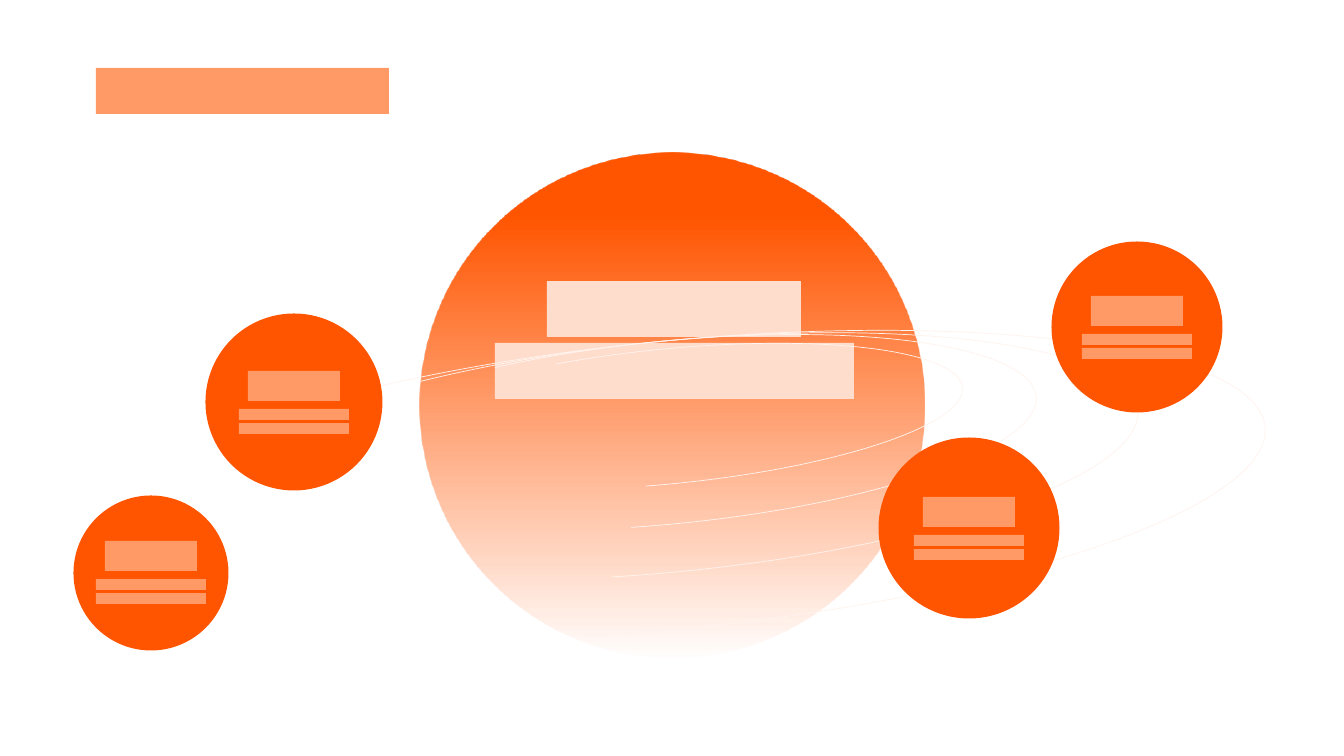
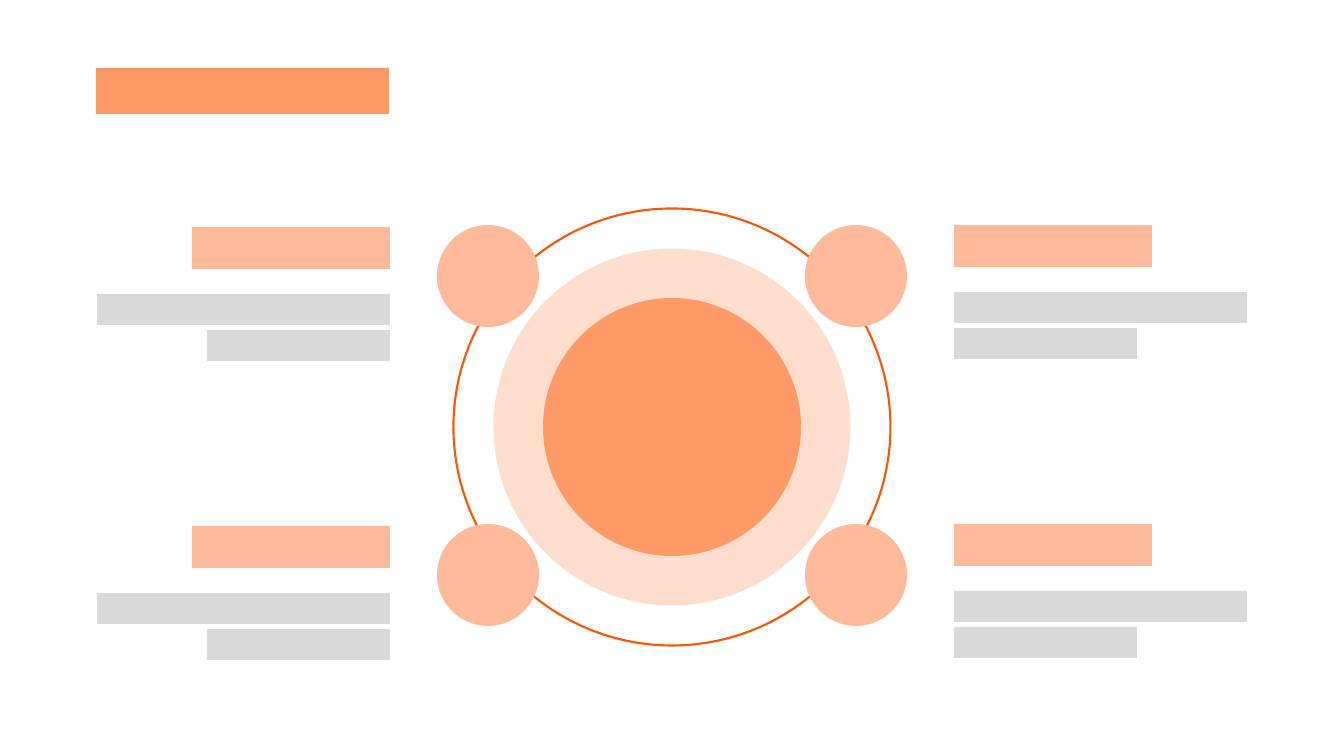
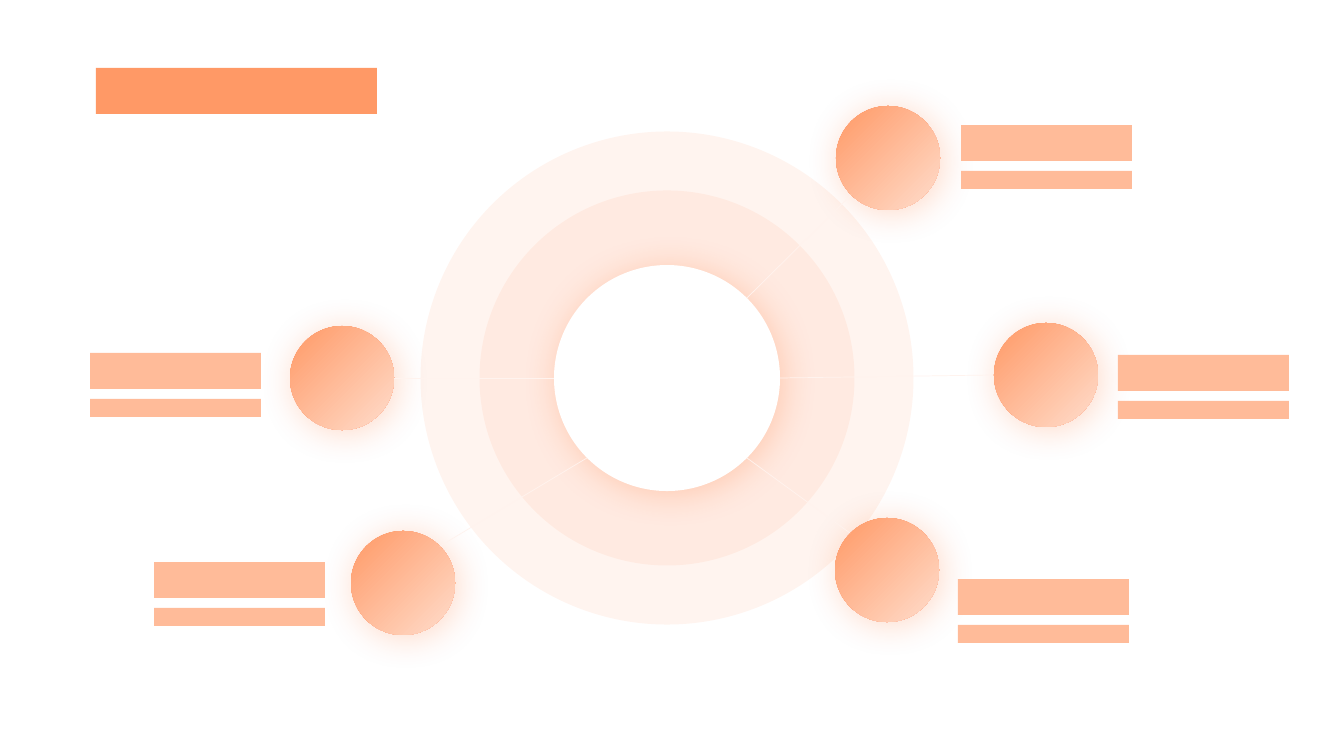
"""Builds three orbit-style diagram slides."""
from dataclasses import dataclass
from math import atan2, cos, pi, sin

from lxml.etree import SubElement
from pptx import Presentation
from pptx.dml.color import RGBColor
from pptx.enum.shapes import MSO_CONNECTOR as CONNECTOR, MSO_SHAPE as SHAPE
from pptx.oxml import parse_xml
from pptx.oxml.ns import nsdecls, qn
from pptx.util import Emu, Pt

WIDTH, HEIGHT = 1344, 756
SCALE = 12192000 / WIDTH


@dataclass(frozen=True)
class Theme:
    strong: str = "FF5500"
    medium: str = "FF9966"
    soft: str = "FFBB99"
    pale: str = "FFDDCC"
    faint: str = "FFF3EE"
    grey: str = "D9D9D9"
    white: str = "FFFFFF"
    thin: float = 0.5
    thick: float = 1.5


THEME = Theme()


def px(value):
    return Emu(round(value * SCALE))


def rgb(color):
    return RGBColor.from_string(color)


def add_shape(shapes, kind, x, y, w, h, fill=None, line=None, weight=THEME.thin):
    sp = shapes.add_shape(kind, px(x), px(y), px(w), px(h))
    sp.shadow.inherit = False
    if fill:
        sp.fill.solid()
        sp.fill.fore_color.rgb = rgb(fill)
    else:
        sp.fill.background()
    if line:
        sp.line.color.rgb = rgb(line)
        sp.line.width = Pt(weight)
    else:
        sp.line.fill.background()
    return sp


def add_circle(shapes, cx, cy, d, fill=None, line=None, weight=THEME.thin):
    return add_shape(shapes, SHAPE.OVAL, cx - d / 2, cy - d / 2, d, d, fill, line, weight)


def add_bars(s, x, y, bars):
    group = s.shapes.add_group_shape()
    for dx, dy, w, h, color in bars:
        add_shape(group.shapes, SHAPE.RECTANGLE, x + dx, y + dy, w, h, color)


def add_title_bar(s, w=293):
    add_shape(s.shapes, SHAPE.RECTANGLE, 96, 68, w, 46, THEME.medium)


def set_alpha(sp, percent):
    color = sp.fill._xPr.find(qn("a:solidFill"))[0]
    SubElement(color, qn("a:alpha"), val=str(percent * 1000))


def set_gradient(sp, stops, direction):
    stop_xml = "".join(
        f'<a:gs pos="{pos * 1000}"><a:srgbClr val="{color}">'
        f'<a:alpha val="{alpha * 1000}"/></a:srgbClr></a:gs>'
        for pos, color, alpha in stops)
    gradient = parse_xml(
        f'<a:gradFill {nsdecls("a")} rotWithShape="1">'
        f"<a:gsLst>{stop_xml}</a:gsLst>{direction}</a:gradFill>")
    props = sp._element.spPr
    props.replace(props.find(qn("a:noFill")), gradient)


def set_glow_shadow(sp):
    effects = sp._element.spPr.find(qn("a:effectLst"))
    shadow = SubElement(effects, qn("a:outerShdw"), blurRad=str(Pt(26)),
                        dist=str(Pt(3)), dir="2700000", algn="tl", rotWithShape="0")
    color = SubElement(shadow, qn("a:srgbClr"), val=THEME.strong)
    SubElement(color, qn("a:alpha"), val="21000")


def add_spoke(s, hub, planet):
    (hx, hy, hd), (cx, cy, cd) = hub, planet
    angle = round(atan2(cy - hy, cx - hx) / (pi / 4)) * pi / 4
    ux, uy = cos(angle) / 2, sin(angle) / 2
    ends = hx + ux * hd, hy + uy * hd, cx - ux * cd, cy - uy * cd
    cxn = s.shapes.add_connector(CONNECTOR.STRAIGHT, *map(px, ends))
    cxn.line.color.rgb = rgb(THEME.faint)
    cxn.line.width = Pt(THEME.thin)
    SubElement(cxn._element.spPr, qn("a:effectLst"))


def build_orbits(s):
    sun = add_circle(s.shapes, 672, 405, 505)
    set_gradient(sun, [(12, THEME.strong, 100), (100, THEME.strong, 0)],
                 '<a:lin ang="5400000" scaled="0"/>')
    add_bars(s, 495, 281, [(52, 0, 254, 56, THEME.pale), (0, 62, 359, 56, THEME.pale)])

    orbits = s.shapes.add_group_shape()
    for x, y, w, h, start, end in [
            (371, 349, 593, 135, 210.74, 113.04), (300, 341, 738, 183, 206.05, 117.45),
            (201, 341, 939, 231, 202.32, 121.58), (76, 341, 1192, 288, 198.43, 125.57)]:
        arc = add_shape(orbits.shapes, SHAPE.ARC, x, y, w, h, line=THEME.faint)
        arc.adjustments[0], arc.adjustments[1] = start * 0.6, end * 0.6
        arc.rotation = 354.4

    caption = [(9, 0, 92, 30, THEME.medium), (0, 38, 110, 11, THEME.medium),
               (0, 52, 110, 11, THEME.medium)]
    planets = [(1137, 327, 171, 1082, 296), (969, 528, 181, 914, 497),
               (151, 573, 155, 96, 541), (294, 402, 177, 239, 371)]
    for cx, cy, d, x, y in planets:
        add_circle(s.shapes, cx, cy, d, THEME.strong)
        add_bars(s, x, y, caption)
    add_title_bar(s)


def build_ring(s):
    cx, cy = 672, 427
    add_circle(s.shapes, cx, cy, 357, THEME.pale)
    add_circle(s.shapes, cx, cy, 258, THEME.medium)
    add_circle(s.shapes, cx, cy, 437, line=THEME.strong, weight=THEME.thick)

    rows = [(0, 198, 42, THEME.soft), (67, 293, 31, THEME.grey), (103, 183, 31, THEME.grey)]
    left = [(-w, dy, w, h, color) for dy, w, h, color in rows]
    right = [(0, dy, w, h, color) for dy, w, h, color in rows]
    for node_y in (276, 575):
        for side, x, lift, bars in [(-1, 390, 49, left), (1, 954, 51, right)]:
            add_circle(s.shapes, cx + side * 184, node_y, 102, THEME.soft)
            add_bars(s, x, node_y - lift, bars)
    add_title_bar(s)


def build_hub(s):
    hub = cx, cy, _ = 667, 378, 226
    for d in (493, 375):
        set_alpha(add_circle(s.shapes, cx, cy, d, THEME.medium), 10)
    set_glow_shadow(add_circle(s.shapes, *hub, THEME.white))

    caption = [(0, 46, 171, 18, THEME.soft), (0, 0, 171, 36, THEME.soft)]
    corner = '<a:path path="circle"><a:fillToRect l="100000" t="100000"/></a:path>'
    for x, y, bars_x, bars_y in [(342, 378, 90, 353), (403, 583, 154, 562), (887, 570, 958, 579),
                                 (888, 158, 961, 125), (1046, 375, 1118, 355)]:
        planet = x, y, 104
        sp = add_circle(s.shapes, *planet)
        set_gradient(sp, [(0, THEME.pale, 100), (100, THEME.medium, 100)], corner)
        set_glow_shadow(sp)
        add_spoke(s, hub, planet)
        add_bars(s, bars_x, bars_y, caption)
    add_title_bar(s, 281)


def main():
    prs = Presentation()
    prs.slide_width, prs.slide_height = px(WIDTH), px(HEIGHT)
    for build in (build_orbits, build_ring, build_hub):
        build(prs.slides.add_slide(prs.slide_layouts[6]))
    prs.save("out.pptx")


if __name__ == "__main__":
    main()
